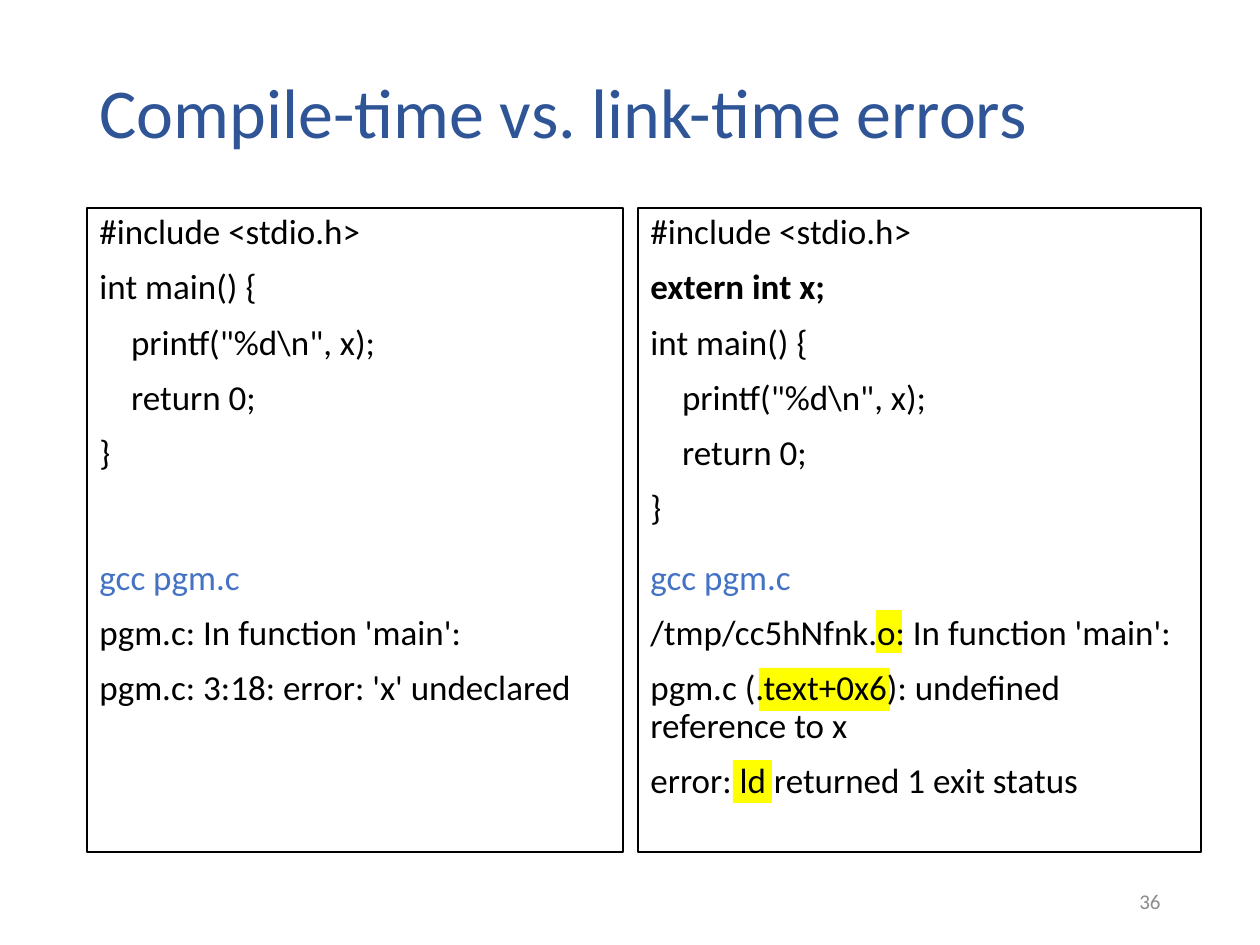
from pptx import Presentation
from pptx.dml.color import RGBColor
from pptx.enum.shapes import MSO_SHAPE
from pptx.enum.text import MSO_ANCHOR, MSO_AUTO_SIZE, PP_ALIGN
from pptx.util import Emu, Pt

FONT = "Calibri"
COLORS = {
    "title": "2F5597",
    "code": "000000",
    "command": "4472C4",
    "highlight": "FFFF00",
    "number": "8C8C8C",
}

TITLE = "Compile-time vs. link-time errors"
SLIDE_NUMBER = "36"
INCLUDE = "#include <stdio.h>"
EXTERN = "extern int x;"
COMMAND = "gcc pgm.c"
MAIN = ["int main() {", '    printf("%d\\n", x);', "    return 0;", "}"]

COMPILE_ERROR = [
    INCLUDE,
    *MAIN,
    COMMAND,
    "pgm.c: In function 'main':",
    "pgm.c: 3:18: error: 'x' undeclared",
]
LINK_ERROR = [
    INCLUDE,
    EXTERN,
    *MAIN,
    COMMAND,
    "/tmp/cc5hNfnk.o: In function 'main':",
    "pgm.c (.text+0x6): undefined reference to x",
    "error: ld returned 1 exit status",
]

# Lengths in px, 126 to the inch
PANEL_TOP, PANEL_HEIGHT = 208, 644
PANELS = [  # left, width, points before the command, lines
    (87, 536, 49.5, COMPILE_ERROR),
    (638, 563, 18, LINK_ERROR),
]
HIGHLIGHT_HEIGHT = 43
HIGHLIGHTS = [(876, 610, 26), (759, 668, 131), (733, 760, 39)]  # left, top, width


def px(length):
    return Emu(round(length * 914400 / 126))


def color(name):
    return RGBColor.from_string(COLORS[name])


def place(shape, left, top, width, height):
    shape.left, shape.top = px(left), px(top)
    shape.width, shape.height = px(width), px(height)


def add_rectangle(slide, *bounds):
    box = slide.shapes.add_shape(MSO_SHAPE.RECTANGLE, *map(px, bounds))
    box.shadow.inherit = False
    return box


def style(para, size, color_name, align=PP_ALIGN.LEFT):
    para.alignment = align
    para.font.name = FONT
    para.font.size = Pt(size)
    para.font.color.rgb = color(color_name)


def set_line(frame, text, size, color_name, align=PP_ALIGN.LEFT):
    """Fill a frame with one vertically centred line."""
    frame.word_wrap = True
    frame.auto_size = MSO_AUTO_SIZE.NONE
    frame.vertical_anchor = MSO_ANCHOR.MIDDLE
    para = frame.paragraphs[0]
    para.text = text
    style(para, size, color_name, align)
    return para


def add_panel(slide, left, width, command_gap, lines):
    panel = add_rectangle(slide, left, PANEL_TOP, width, PANEL_HEIGHT)
    panel.fill.background()
    panel.line.color.rgb = color("code")
    panel.line.width = Pt(0.75)
    frame = panel.text_frame
    frame.word_wrap = True
    frame.vertical_anchor = MSO_ANCHOR.TOP
    for index, line in enumerate(lines):
        para = frame.add_paragraph() if index else frame.paragraphs[0]
        para.text = line
        para.line_spacing = 0.9
        if index:
            para.space_before = Pt(command_gap if line == COMMAND else 10)
        style(para, 20, "command" if line == COMMAND else "code")
        para.font.bold = line == EXTERN


def main():
    deck = Presentation()
    deck.slide_width, deck.slide_height = px(1260), px(945)
    slide = deck.slides.add_slide(deck.slide_layouts[5])

    title = slide.shapes.title
    place(title, 87, 50, 1086, 132)
    set_line(title.text_frame, TITLE, 40, "title").line_spacing = 0.9

    for left, top, width in HIGHLIGHTS:
        mark = add_rectangle(slide, left, top, width, HIGHLIGHT_HEIGHT)
        mark.fill.solid()
        mark.fill.fore_color.rgb = color("highlight")
        mark.line.fill.background()

    for panel in PANELS:
        add_panel(slide, *panel)

    number = slide.shapes.add_textbox(*map(px, (890, 876, 283, 50)))
    set_line(number.text_frame, SLIDE_NUMBER, 12, "number", PP_ALIGN.RIGHT)

    deck.save("out.pptx")


if __name__ == "__main__":
    main()
